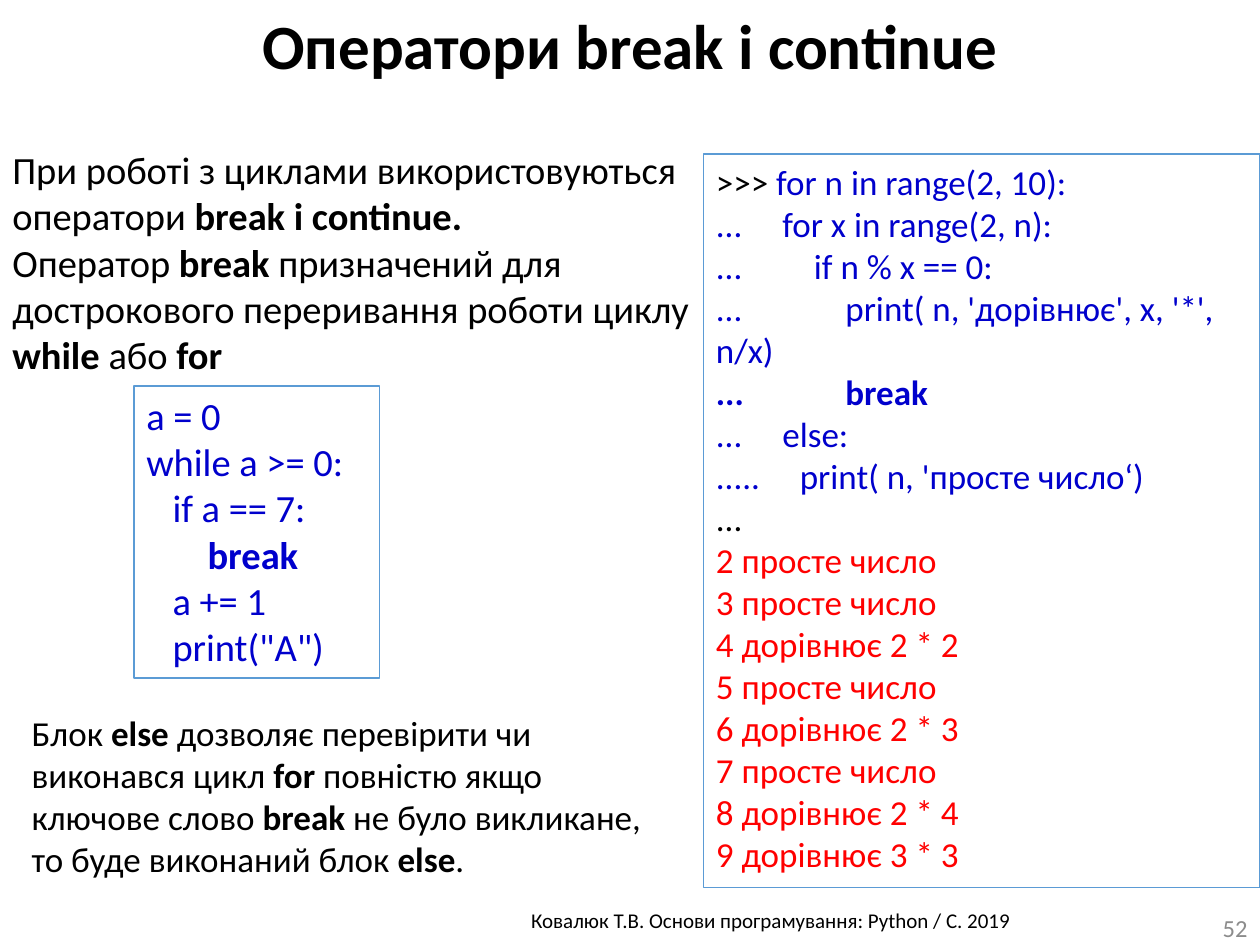
from dataclasses import dataclass

from lxml import etree
from pptx import Presentation
from pptx import util as u
from pptx.dml.color import RGBColor
from pptx.enum import shapes, text
from pptx.oxml import ns


@dataclass(frozen=True)
class Theme:
    font: str = "Calibri"
    ink: str = "000000"
    code: str = "0000CC"
    result: str = "FF0000"
    muted: str = "8C8C8C"
    border: str = "5B9BD5"
    title: int = 36
    lead: int = 22
    body: int = 20
    number: int = 14
    footer: int = 12


@dataclass
class Line:
    content: str          # **double asterisks** mark bold words
    color: str = Theme.ink
    indent: float = 0     # left margin, points
    tab: float = 0        # tab stop, points
    prompt: str = ""      # leading text in ink colour


theme = Theme()

# Content
TITLE = "Оператори break і continue"
FOOTER = "Ковалюк Т.В. Основи програмування: Python / C. 2019"
NUMBER = "52"
INTRO = [
    Line("При роботі з циклами використовуються оператори **break і continue.**"),
    Line("Оператор **break** призначений для дострокового переривання роботи циклу "
         "**while** або **for**"),
]
ELSE_NOTE = [
    Line("Блок **else** дозволяє перевірити чи виконався цикл **for** повністю якщо "
         "ключове слово **break** не було викликане, то буде виконаний блок **else**."),
]
WHILE_CODE = [
    Line(content, theme.code, indent=indent)
    for content, indent in [
        ("a = 0", 0),
        ("while a >= 0:", 0),
        ("if a == 7:", 15),
        ("**break**", 35),
        ("a += 1", 15),
        ('print("A")', 15),
    ]
]
FOR_CODE = [
    Line(content, theme.code, tab=tab)
    for content, tab in [
        ("...\tfor x in range(2, n):", 38),
        ("...\tif n % x == 0:", 56),
        ("...\tprint( n, 'дорівнює', x, '*', n/x)", 74),
        ("**...\tbreak**", 74),
        ("...\telse:", 38),
        (".....\tprint( n, 'просте число‘)", 48),
    ]
]
RESULTS = [
    "2 просте число", "3 просте число", "4 дорівнює 2 * 2", "5 просте число",
    "6 дорівнює 2 * 3", "7 просте число", "8 дорівнює 2 * 4", "9 дорівнює 3 * 3",
]
SESSION = [
    Line("for n in range(2, 10):", theme.code, prompt=">>> "),
    *FOR_CODE,
    Line("..."),
    *[Line(result, theme.result) for result in RESULTS],
]

# Layout: left, top, width, height in points
WIDTH, HEIGHT = 720, 540
SPLIT = 402
BOXES = {
    "title": (0, 0, WIDTH, 51),
    "intro": (0, 80, SPLIT, 140),
    "while": (76.5, 220.5, 140.5, 167),
    "else": (11, 403, 374, 104.5),
    "session": (SPLIT, 88, WIDTH - SPLIT, 419),
    "footer": (161, 515, WIDTH - 161, 22),
    "number": (686, 520, WIDTH - 686, 20),
}


def write(frame, lines, size, bold=False, align=text.PP_ALIGN.LEFT,
          anchor=text.MSO_ANCHOR.TOP):
    """Fill a text frame with formatted lines."""
    frame.word_wrap = True
    frame.auto_size = text.MSO_AUTO_SIZE.NONE
    frame.vertical_anchor = anchor
    for index, line in enumerate(lines):
        paragraph = frame.add_paragraph() if index else frame.paragraphs[0]
        paragraph.alignment = align
        properties = paragraph._p.get_or_add_pPr()
        if line.indent:
            properties.set("marL", str(u.Pt(line.indent)))
        if line.tab:
            tabs = etree.SubElement(properties, ns.qn("a:tabLst"))
            etree.SubElement(tabs, ns.qn("a:tab"), pos=str(u.Pt(line.tab)), algn="l")
        pieces = [(line.prompt, theme.ink, bold)]
        pieces += [(piece, line.color, bold or part % 2 == 1)
                   for part, piece in enumerate(line.content.split("**"))]
        for piece, color, is_bold in pieces:
            if not piece:
                continue
            run = paragraph.add_run()
            run.text = piece
            run.font.name = theme.font
            run.font.size = u.Pt(size)
            run.font.bold = is_bold
            run.font.color.rgb = RGBColor.from_string(color)


def add_text(box, lines, size, **style):
    shape = slide.shapes.add_textbox(*map(u.Pt, BOXES[box]))
    write(shape.text_frame, lines, size, **style)


def add_code(box, lines, size):
    shape = slide.shapes.add_shape(shapes.MSO_SHAPE.RECTANGLE, *map(u.Pt, BOXES[box]))
    shape.shadow.inherit = False
    shape.fill.background()
    shape.line.color.rgb = RGBColor.from_string(theme.border)
    shape.line.width = u.Pt(0.75)
    write(shape.text_frame, lines, size)


presentation = Presentation()
presentation.slide_width, presentation.slide_height = u.Pt(WIDTH), u.Pt(HEIGHT)
slide = presentation.slides.add_slide(presentation.slide_layouts[5])

# Title
title = slide.shapes.title
title.left, title.top, title.width, title.height = map(u.Pt, BOXES["title"])
write(title.text_frame, [Line(TITLE)], theme.title, bold=True,
      align=text.PP_ALIGN.CENTER)

# Explanations and code
add_text("intro", INTRO, theme.lead)
add_code("while", WHILE_CODE, theme.lead)
add_code("session", SESSION, theme.body)
add_text("else", ELSE_NOTE, theme.body)

# Footer and slide number
add_text("footer", [Line(FOOTER)], theme.footer, align=text.PP_ALIGN.CENTER)
add_text("number", [Line(NUMBER, theme.muted)], theme.number,
         align=text.PP_ALIGN.RIGHT, anchor=text.MSO_ANCHOR.MIDDLE)

presentation.save("out.pptx")
